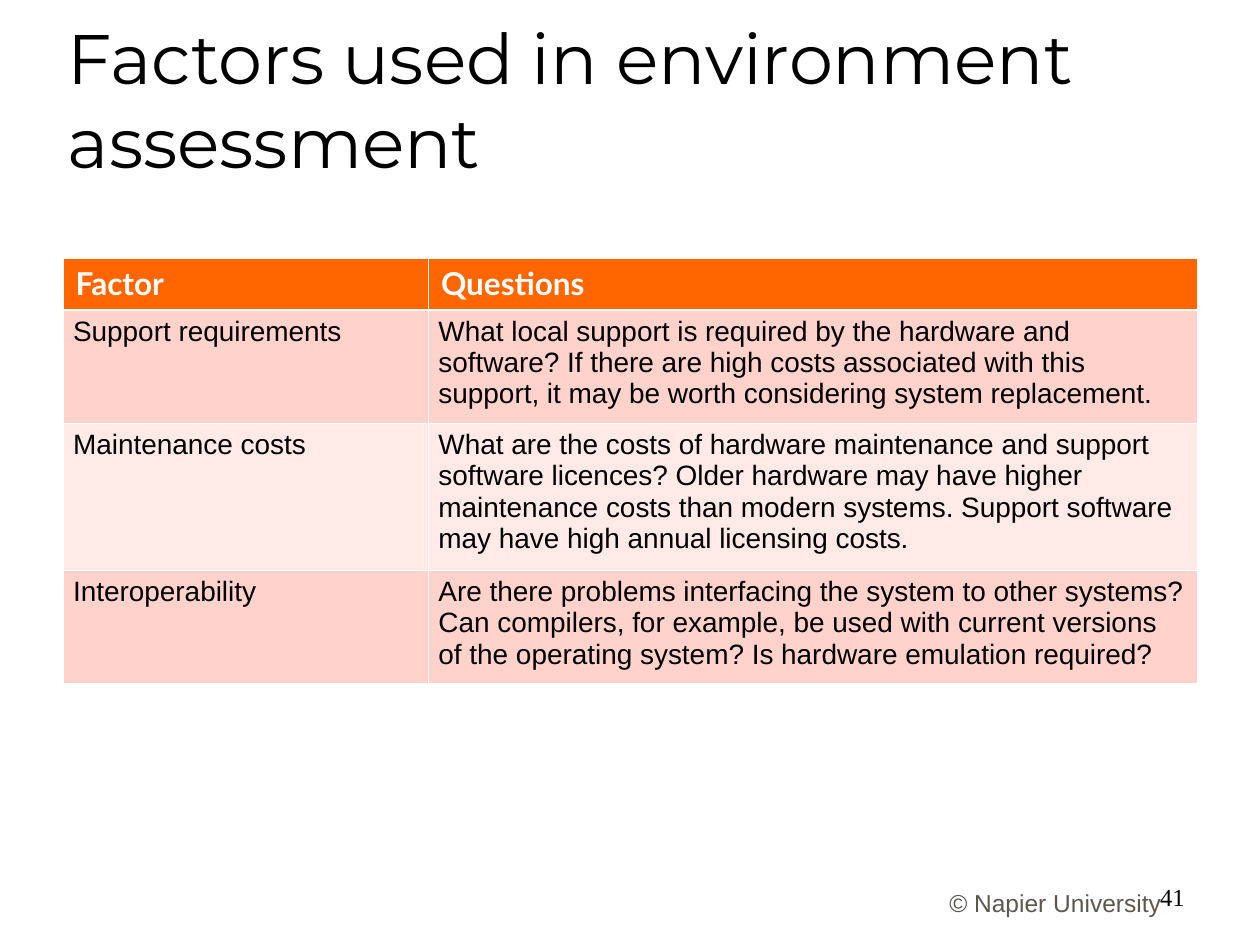
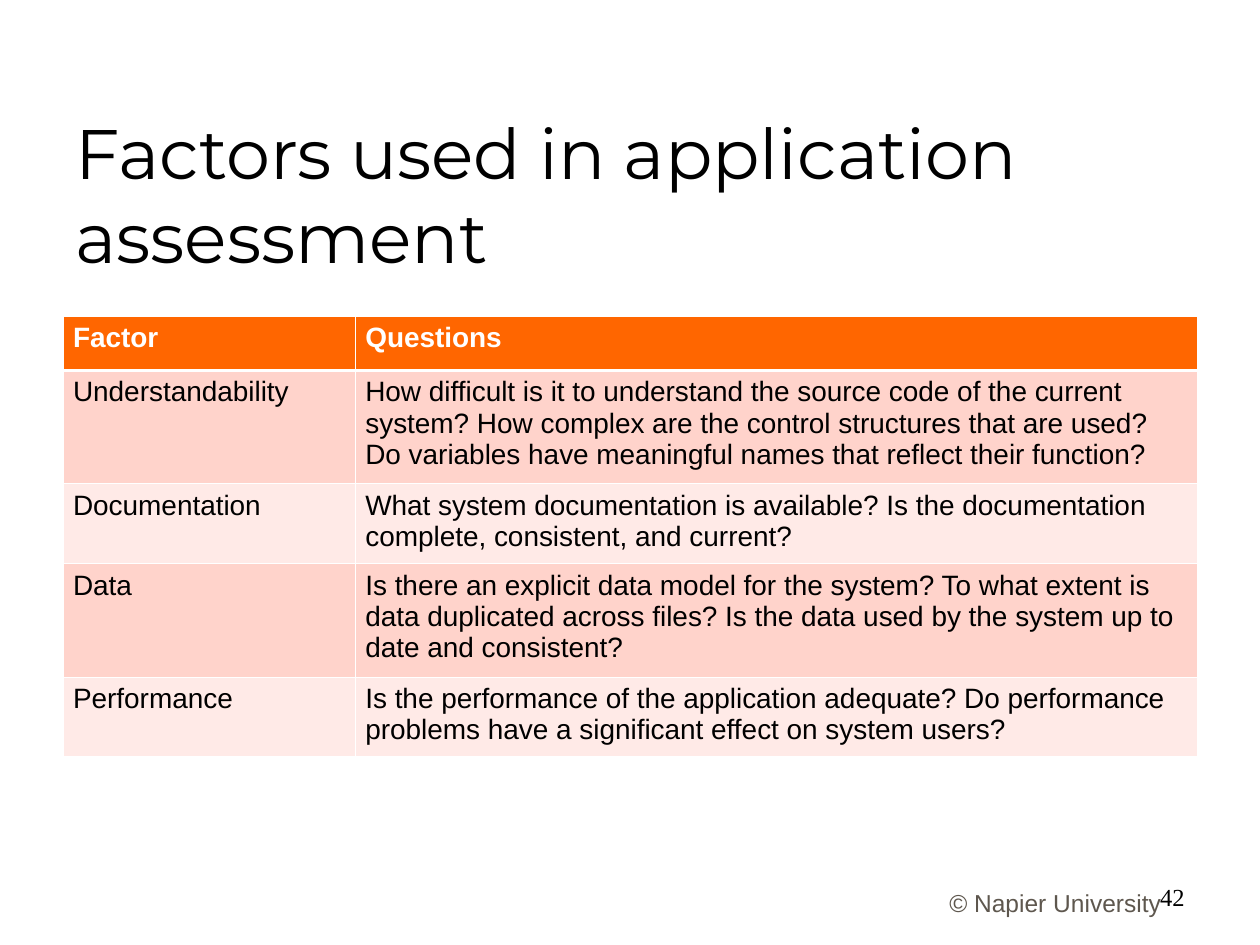
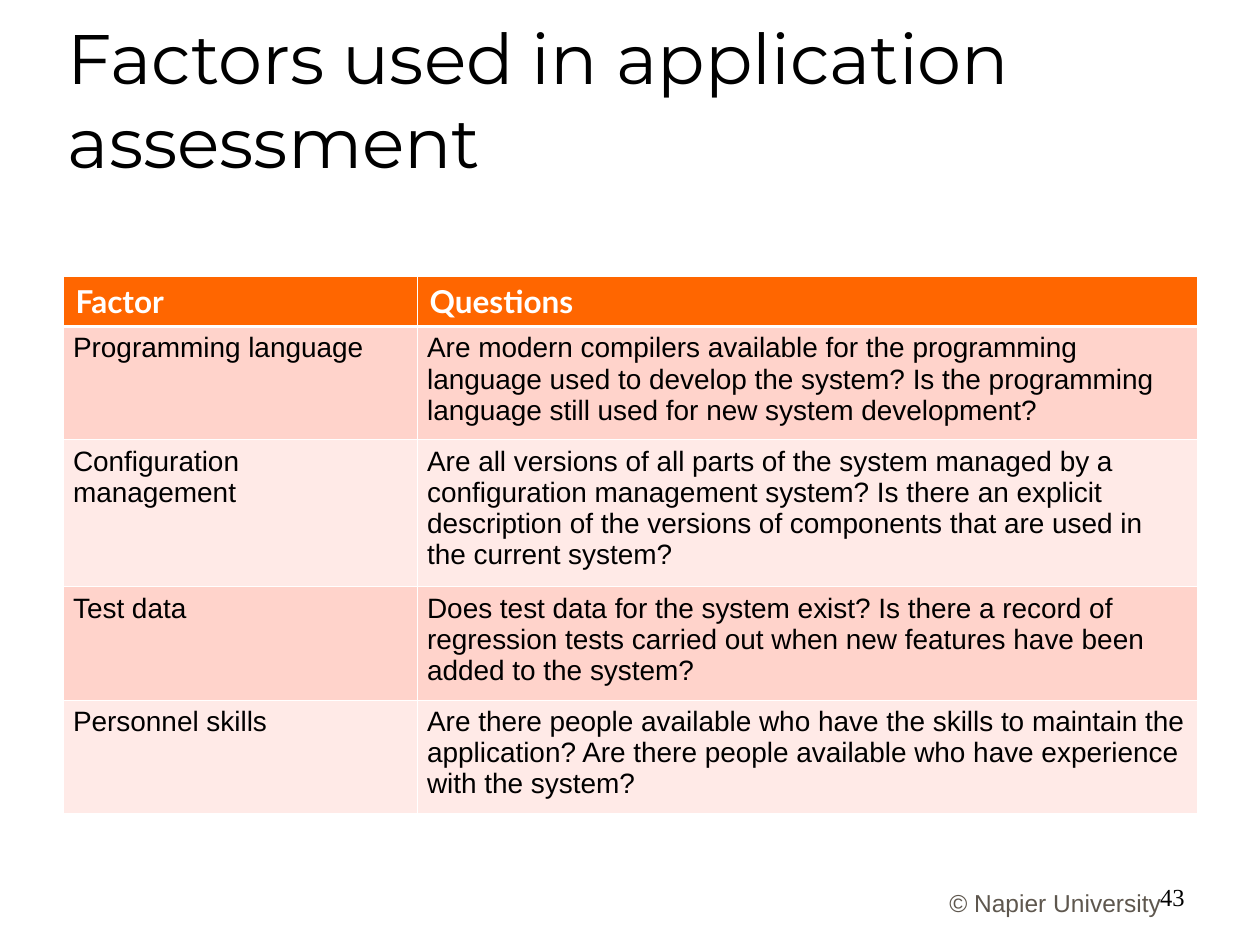
from dataclasses import dataclass

import lxml.etree
import pptx
import pptx.dml.color
import pptx.enum.text
import pptx.oxml.ns
import pptx.util

Inches = pptx.util.Inches
Pt = pptx.util.Pt
ALIGN = pptx.enum.text.PP_ALIGN
ANCHOR = pptx.enum.text.MSO_ANCHOR

BLACK = "000000"
WHITE = "FFFFFF"
ORANGE = "FF6600"
FOOTER_BROWN = "5E574E"
BANDS = ("FFD3CB", "FFEAE7")
THIN_RULE = 0.45
HEADER_RULE = 1.47
TABLE_LEFT = 0.5
TABLE_WIDTH = 9
FIRST_NUMBER = 41


@dataclass(frozen=True)
class Box:
    left: float
    top: float
    width: float
    height: float


@dataclass(frozen=True)
class TextStyle:
    font: str
    size: float
    color: str
    bold: bool = False
    align: ALIGN = ALIGN.LEFT
    anchor: ANCHOR = ANCHOR.TOP
    side_inset: float = 0.1
    space_after: float = 0


@dataclass(frozen=True)
class Assessment:
    title: str
    title_box: Box
    table_top: float
    factor_width: float
    row_heights: tuple[float, ...]
    header_style: TextStyle
    questions: dict[str, str]


TITLE = TextStyle("Montserrat", 40, BLACK, anchor=ANCHOR.BOTTOM)
COPYRIGHT = TextStyle("Arial", 14, FOOTER_BROWN, align=ALIGN.CENTER)
PAGE_NUMBER = TextStyle("Times New Roman", 14, BLACK, align=ALIGN.RIGHT)
LATO_HEADER = TextStyle("Lato", 18, WHITE, bold=True)
ARIAL_HEADER = TextStyle("Arial", 16, WHITE, bold=True, side_inset=0.08, space_after=6)
BODY = TextStyle("Arial", 16, BLACK, side_inset=0.08, space_after=6)

HIGH_TITLE = Box(0.44, 0.25, 8.5, 1.25)
LOW_TITLE = Box(0.5, 1, 9, 1.25)
COPYRIGHT_BOX = Box(7, 7, 2.75, 0.34)
NUMBER_BOX = Box(7.17, 6.95, 2.33, 0.4)

ASSESSMENTS = (
    Assessment(
        "Factors used in environment assessment", HIGH_TITLE,
        2.05, 2.9, (0.41, 0.88, 1.15, 0.88), LATO_HEADER,
        {
            "Support requirements":
                "What local support is required by the hardware and software? "
                "If there are high costs associated with this support, it may be "
                "worth considering system replacement.",
            "Maintenance costs":
                "What are the costs of hardware maintenance and support software "
                "licences? Older hardware may have higher maintenance costs than "
                "modern systems. Support software may have high annual licensing "
                "costs.",
            "Interoperability":
                "Are there problems interfacing the system to other systems? Can "
                "compilers, for example, be used with current versions of the "
                "operating system? Is hardware emulation required?",
        },
    ),
    Assessment(
        "Factors used in application assessment", LOW_TITLE,
        2.51, 2.32, (0.43, 0.88, 0.61, 0.88, 0.61), ARIAL_HEADER,
        {
            "Understandability":
                "How difficult is it to understand the source code of the current "
                "system? How complex are the control structures that are used? Do "
                "variables have meaningful names that reflect their function?",
            "Documentation":
                "What system documentation is available? Is the documentation "
                "complete, consistent, and current?",
            "Data":
                "Is there an explicit data model for the system? To what extent is "
                "data duplicated across files? Is the data used by the system up to "
                "date and consistent?",
            "Performance":
                "Is the performance of the application adequate? Do performance "
                "problems have a significant effect on system users?",
        },
    ),
    Assessment(
        "Factors used in application assessment", HIGH_TITLE,
        2.19, 2.81, (0.4, 0.88, 1.15, 0.88, 0.88), LATO_HEADER,
        {
            "Programming language":
                "Are modern compilers available for the programming language used "
                "to develop the system? Is the programming language still used for "
                "new system development?",
            "Configuration management":
                "Are all versions of all parts of the system managed by a "
                "configuration management system? Is there an explicit description "
                "of the versions of components that are used in the current system?",
            "Test data":
                "Does test data for the system exist? Is there a record of "
                "regression tests carried out when new features have been added to "
                "the system?",
            "Personnel skills":
                "Are there people available who have the skills to maintain the "
                "application? Are there people available who have experience with "
                "the system?",
        },
    ),
)


def rgb(color: str) -> pptx.dml.color.RGBColor:
    return pptx.dml.color.RGBColor.from_string(color)


def write(frame, text: str, style: TextStyle) -> None:
    paragraph = frame.paragraphs[0]
    paragraph.text = text
    paragraph.alignment = style.align
    paragraph.space_after = Pt(style.space_after)
    paragraph.font.name = style.font
    paragraph.font.size = Pt(style.size)
    paragraph.font.bold = style.bold
    paragraph.font.color.rgb = rgb(style.color)


def set_insets(holder, style: TextStyle) -> None:
    holder.margin_left = holder.margin_right = Inches(style.side_inset)
    holder.margin_top = holder.margin_bottom = Inches(0.05)
    holder.vertical_anchor = style.anchor


def add_text(slide, text: str, box: Box, style: TextStyle) -> None:
    frame = slide.shapes.add_textbox(
        Inches(box.left), Inches(box.top), Inches(box.width), Inches(box.height)
    ).text_frame
    frame.word_wrap = True
    set_insets(frame, style)
    write(frame, text, style)


def set_borders(cell, top: float, bottom: float) -> None:
    properties = cell._tc.get_or_add_tcPr()
    widths = {"lnL": THIN_RULE, "lnR": THIN_RULE, "lnT": top, "lnB": bottom}
    for position, (edge, width) in enumerate(widths.items()):
        line = lxml.etree.Element(pptx.oxml.ns.qn(f"a:{edge}"), w=str(Pt(width)))
        fill = lxml.etree.SubElement(line, pptx.oxml.ns.qn("a:solidFill"))
        lxml.etree.SubElement(fill, pptx.oxml.ns.qn("a:srgbClr"), val=WHITE)
        properties.insert(position, line)


def add_factor_table(slide, assessment: Assessment) -> None:
    rows = [("Factor", "Questions"), *assessment.questions.items()]
    table = slide.shapes.add_table(
        len(rows), 2, Inches(TABLE_LEFT), Inches(assessment.table_top),
        Inches(TABLE_WIDTH), Inches(sum(assessment.row_heights)),
    ).table
    table.columns[0].width = Inches(assessment.factor_width)
    table.columns[1].width = Inches(TABLE_WIDTH - assessment.factor_width)
    for index, (texts, height) in enumerate(zip(rows, assessment.row_heights)):
        table.rows[index].height = Inches(height)
        style = BODY if index else assessment.header_style
        band = BANDS[(index - 1) % 2] if index else ORANGE
        for column, text in enumerate(texts):
            cell = table.cell(index, column)
            set_insets(cell, style)
            write(cell.text_frame, text, style)
            cell.fill.solid()
            cell.fill.fore_color.rgb = rgb(band)
            set_borders(
                cell,
                top=HEADER_RULE if index == 1 else THIN_RULE,
                bottom=HEADER_RULE if index == 0 else THIN_RULE,
            )


def main() -> None:
    deck = pptx.Presentation()
    deck.slide_width, deck.slide_height = Inches(10), Inches(7.5)
    for number, assessment in enumerate(ASSESSMENTS, FIRST_NUMBER):
        slide = deck.slides.add_slide(deck.slide_layouts[6])
        add_text(slide, "© Napier University", COPYRIGHT_BOX, COPYRIGHT)
        add_text(slide, assessment.title, assessment.title_box, TITLE)
        add_factor_table(slide, assessment)
        add_text(slide, str(number), NUMBER_BOX, PAGE_NUMBER)
    deck.save("out.pptx")


if __name__ == "__main__":
    main()
